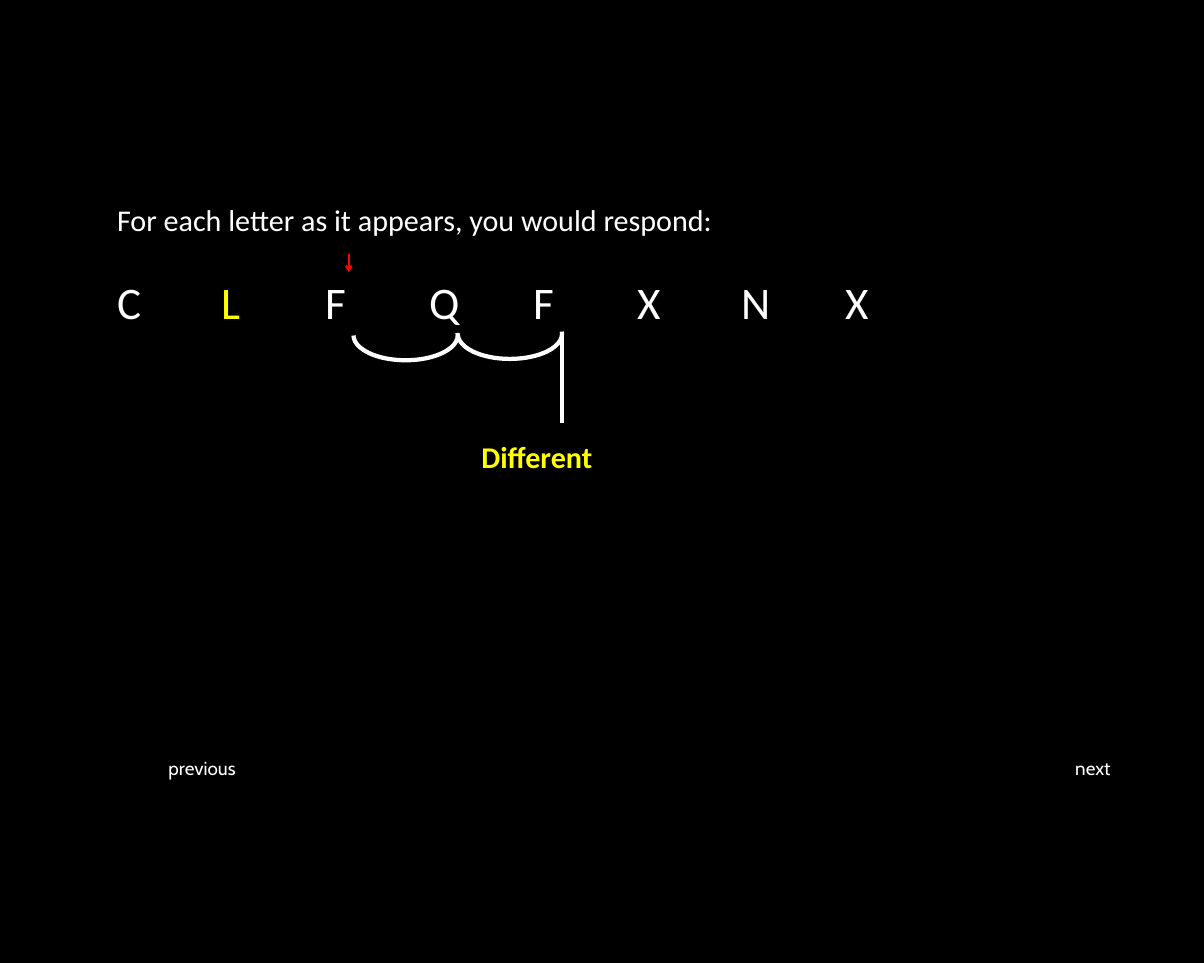
from dataclasses import dataclass, field
from typing import NamedTuple

from lxml import etree
from pptx import Presentation
from pptx import util as u
from pptx.dml.color import RGBColor
from pptx.enum import shapes as sh, text as tx
from pptx.oxml.ns import qn


@dataclass(frozen=True)
class Theme:
    back: str = "000000"
    plain: str = "FFFFFF"
    mark: str = "FFFF00"
    arrow: str = "FF0000"
    body: str = "Calibri"
    label: str = "Cabin"
    big: int = 48
    mid: int = 32
    small: int = 20
    thick: float = 4.5
    thin: float = 2.25


class Box(NamedTuple):
    """Left, top, width and height as percent of the slide."""
    left: float
    top: float
    width: float
    height: float


class Run(NamedTuple):
    words: str
    form: dict


@dataclass
class Para:
    runs: list[Run]
    form: dict = field(default_factory=dict)
    indent: float = 0
    tabs: int = 0


class Stroke(NamedTuple):
    x: float
    top: float
    end: float
    color: str
    width: float
    head: bool = False


T = Theme()
WIDE, HIGH = 17.78, 14.22
STEP = 8.64  # distance between letters, percent of width
LINE = 39    # height of one empty body line, points
LETTERS, MARKED = "CLFQFXNX", 1


def across(share: float) -> int:
    return u.Inches(WIDE * share / 100)


def down(share: float) -> int:
    return u.Inches(HIGH * share / 100)


def place(box: Box) -> tuple[int, int, int, int]:
    return across(box.left), down(box.top), across(box.width), down(box.height)


def apply(target, form: dict) -> None:
    for name, value in form.items():
        if name == "color":
            target.color.rgb = RGBColor.from_string(value)
        else:
            setattr(target, name, value)


def style(size: int, face: str = T.body, color: str = T.plain,
          bold: bool = False) -> dict:
    return {"size": u.Pt(size), "name": face, "color": color, "bold": bold}


def write(slide, box: Box, paras: list[Para]) -> None:
    frame = slide.shapes.add_textbox(*place(box)).text_frame
    apply(frame, {"word_wrap": True, "auto_size": tx.MSO_AUTO_SIZE.SHAPE_TO_FIT_TEXT})
    for i, para in enumerate(paras):
        p = frame.add_paragraph() if i else frame.paragraphs[0]
        props = p._p.get_or_add_pPr()
        if para.indent:
            props.set("marL", str(across(para.indent)))
            props.set("indent", "0")
        if para.tabs:
            stops = etree.SubElement(props, qn("a:tabLst"))
            for n in range(1, para.tabs + 1):
                etree.SubElement(stops, qn("a:tab"), pos=str(across(n * STEP)), algn="l")
        apply(p, para.form)
        for run in para.runs:
            r = p.add_run()
            r.text = run.words
            apply(r.font, run.form)


def draw_line(slide, stroke: Stroke) -> None:
    x = across(stroke.x)
    line = slide.shapes.add_connector(
        sh.MSO_CONNECTOR.STRAIGHT, x, down(stroke.top), x, down(stroke.end))
    apply(line.line, {"color": stroke.color, "width": u.Pt(stroke.width)})
    if stroke.head:
        etree.SubElement(line.line._get_or_add_ln(), qn("a:tailEnd"), type="arrow")
    etree.SubElement(line._element.spPr, qn("a:effectLst"))


def draw_arc(slide, box: Box) -> None:
    arc = slide.shapes.add_shape(sh.MSO_SHAPE.ARC, *place(box))
    arc.adjustments[0], arc.adjustments[1] = 106.5, 215.81
    arc.rotation = 180
    arc.shadow.inherit = False
    arc.fill.background()
    apply(arc.line, {"color": T.plain, "width": u.Pt(T.thick)})


def main() -> None:
    deck = Presentation()
    apply(deck, {"slide_width": u.Inches(WIDE), "slide_height": u.Inches(HIGH)})
    slide = deck.slides.add_slide(deck.slide_layouts[6])
    fill = slide.background.fill
    fill.solid()
    fill.fore_color.rgb = RGBColor.from_string(T.back)

    # Prompt, letter row and answer
    row = [Run(("\t" if i else "") + c,
               style(T.big, color=T.mark if i == MARKED else T.plain))
           for i, c in enumerate(LETTERS)]
    just = {"alignment": tx.PP_ALIGN.JUSTIFY}
    write(slide, Box(9.17, 20.6, 83.63, 29.11), [
        Para([Run("For each letter as it appears, you would respond:", style(T.mid))], just),
        Para(row, just | {"space_before": u.Pt(LINE)}, tabs=len(LETTERS) - 1),
        Para([Run("Different", style(T.mid, color=T.mark, bold=True))],
             just | {"space_before": u.Pt(3 * LINE)}, indent=30.26),
    ])

    # Arrow to the current letter and stem to the answer
    for stroke in (Stroke(28.97, 26.37, 28.27, T.arrow, T.thin, True),
                   Stroke(46.68, 34.6, 43.88, T.plain, T.thick)):
        draw_line(slide, stroke)

    # Arcs that count two letters back
    for left, top in ((38.02, 32.07), (29.36, 32.21)):
        draw_arc(slide, Box(left, top, 8.66, 5.2))

    # Page labels
    for words, left, width in (("next", 88.75, 11.25), ("previous", 13.44, 17.15)):
        write(slide, Box(left, 78.2, width, 3.09),
              [Para([Run(words, style(T.small, T.label))])])

    deck.save("out.pptx")


if __name__ == "__main__":
    main()
